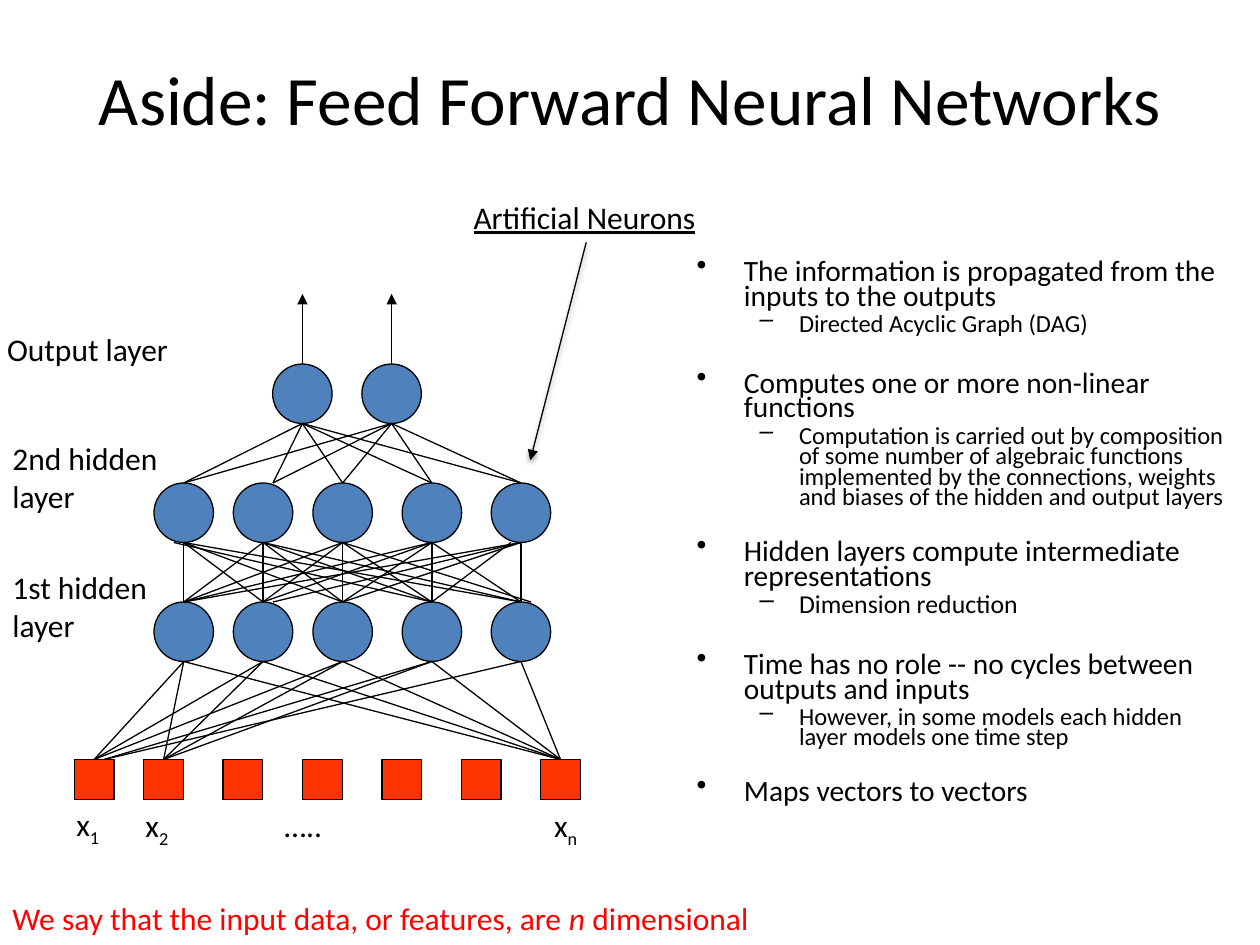
from dataclasses import dataclass
from lxml import etree
from pptx import Presentation
from pptx.dml.color import RGBColor
from pptx.enum.shapes import MSO_CONNECTOR, MSO_SHAPE
from pptx.enum.text import MSO_ANCHOR, MSO_AUTO_SIZE, PP_ALIGN
from pptx.oxml.ns import qn
from pptx.util import Pt

STRAIGHT = MSO_CONNECTOR.STRAIGHT
OVAL, RECTANGLE = MSO_SHAPE.OVAL, MSO_SHAPE.RECTANGLE
MIDDLE, CENTER = MSO_ANCHOR.MIDDLE, PP_ALIGN.CENTER
NO_FIT, FIT_SHAPE = MSO_AUTO_SIZE.NONE, MSO_AUTO_SIZE.SHAPE_TO_FIT_TEXT


@dataclass(frozen=True)
class Theme:
    font: str = "Calibri"
    ink: RGBColor = RGBColor(0, 0, 0)
    accent: RGBColor = RGBColor(0xFF, 0, 0)
    neuron: RGBColor = RGBColor(0x4F, 0x81, 0xBD)
    feature: RGBColor = RGBColor(0xFF, 0x33, 0)
    title: float = 39.6
    label: float = 18
    point: float = 16.8
    detail: float = 14
    detail_large: float = 14.7
    line: float = 0.75


THEME = Theme()
TITLE = "Aside: Feed Forward Neural Networks"

# level, size, space before, text
POINTS = [
    (0, THEME.point, 0, "The information is propagated from the inputs to the outputs"),
    (1, THEME.detail, 2.8, "Directed Acyclic Graph (DAG)"),
    (0, THEME.point, 21, "Computes one or more non-linear functions"),
    (1, THEME.detail, 2.8, "Computation is carried out by composition of some number of "
     "algebraic functions implemented by the connections, weights and biases of the "
     "hidden and output layers"),
    (0, THEME.point, 18.2, "Hidden layers compute intermediate representations"),
    (1, THEME.detail_large, 2.8, "Dimension reduction"),
    (0, THEME.point, 21, "Time has no role -- no cycles between outputs and inputs"),
    (1, THEME.detail, 2.8, "However, in some models each hidden layer models one time step"),
    (0, THEME.point, 18.2, "Maps vectors to vectors"),
]
BULLETS = [("•", 27, -27), ("–", 58.5, -22.5)]

LABELS = [
    ((36.5, 456.5, 29, 29), False, [[("x", ""), ("1", "sub")]]),
    ((76, 457, 29, 29), False, [[("x", ""), ("2", "sub")]]),
    ((309.5, 457, 29, 29), False, [[("x", ""), ("n", "sub")]]),
    ((155.5, 457, 141, 29), True, [[("…..", "")]]),
    ((0, 321, 122, 50.5), True, [[("1st hidden", "")], [("layer", "")]]),
    ((0, 247.5, 122, 50.5), True, [[("2nd hidden", "")], [("layer", "")]]),
    ((-3, 185, 122, 29), True, [[("Output layer", "")]]),
]
FOOTNOTE = [[("We say that the input data, or features, are ", ""),
             ("n ", "italic"), ("dimensional", "")]]
CALLOUT = [[("Artificial Neurons", "underline")]]

HIDDEN_CENTERS = [105, 150.3, 195.8, 246.8, 297.7]
INPUT_CENTERS = [53.8] + [93.5 + 45.36 * step for step in range(6)]
# centers, top, size, preset, fill
LAYERS = {
    "first": (HIDDEN_CENTERS, 344, 34, OVAL, THEME.neuron),
    "second": (HIDDEN_CENTERS, 276, 34, OVAL, THEME.neuron),
    "input": (INPUT_CENTERS, 434, 22.7, RECTANGLE, THEME.feature),
    "output": ([172.8, 223.8], 208, 34, OVAL, THEME.neuron),
}
LINKS = [
    ("second", "output", {lower: range(2) for lower in range(5)}),
    ("first", "second", {lower: range(5) for lower in range(5)}),
    ("input", "first", {0: range(5), 1: range(4), 6: range(5)}),
]
NUDGE = 5.7
NUDGES = {
    ("second", 1, 0): (NUDGE, 0), ("second", 1, 1): (NUDGE, 0),
    ("first", 1, 4): (NUDGE, 0), ("first", 4, 2): (NUDGE, 0),
    ("first", 3, 0): (0, -NUDGE), ("first", 3, 4): (0, -NUDGE),
    ("input", 0, 3): (NUDGE, 0), ("input", 0, 4): (NUDGE, 0),
}


def add_run(paragraph, text, size, color=THEME.ink, style=""):
    run = paragraph.add_run()
    run.text = text
    font = run.font
    font.name, font.size, font.color.rgb = THEME.font, Pt(size), color
    if style == "sub":
        run._r.get_or_add_rPr().set("baseline", "-25000")
    elif style == "italic":
        font.italic = True
    elif style == "underline":
        font.underline = True


def add_label(shapes, box, wrap, lines, color=THEME.ink):
    frame = shapes.add_textbox(*map(Pt, box)).text_frame
    frame.word_wrap, frame.auto_size = wrap, FIT_SHAPE
    for index, runs in enumerate(lines):
        paragraph = frame.add_paragraph() if index else frame.paragraphs[0]
        for text, style in runs:
            add_run(paragraph, text, THEME.label, color, style)


def add_line(shapes, start, end, arrow=False, shadow=False):
    connector = shapes.add_connector(STRAIGHT, *map(Pt, (*start, *end)))
    connector.line.color.rgb = THEME.ink
    connector.line.width = Pt(THEME.line)
    if arrow:
        etree.SubElement(connector.line._get_or_add_ln(), qn("a:tailEnd"), type="triangle")
    effects = etree.SubElement(connector._element.spPr, qn("a:effectLst"))
    if shadow:
        outer = etree.SubElement(effects, qn("a:outerShdw"), blurRad=str(Pt(3.1)),
                                 dist=str(Pt(1.6)), dir="5400000", rotWithShape="0")
        color = etree.SubElement(outer, qn("a:srgbClr"), val=str(THEME.ink))
        etree.SubElement(color, qn("a:alpha"), val="38000")


def add_title(slide):
    title = slide.shapes.title
    title.left, title.top, title.width, title.height = map(Pt, (36, 10.8, 648, 90))
    frame = title.text_frame
    frame.auto_size, frame.vertical_anchor = NO_FIT, MIDDLE
    paragraph = frame.paragraphs[0]
    paragraph.alignment = CENTER
    add_run(paragraph, TITLE, THEME.title)


def add_points(slide):
    frame = slide.shapes.add_textbox(*map(Pt, (391, 146, 318, 365))).text_frame
    frame.word_wrap = True
    for index, (level, size, before, text) in enumerate(POINTS):
        paragraph = frame.add_paragraph() if index else frame.paragraphs[0]
        bullet, margin, indent = BULLETS[level]
        paragraph.level, paragraph.line_spacing = level, 0.7
        paragraph.space_before = Pt(before)
        properties = paragraph._p.get_or_add_pPr()
        properties.set("marL", str(Pt(margin)))
        properties.set("indent", str(Pt(indent)))
        etree.SubElement(properties, qn("a:buChar"), char=bullet)
        add_run(paragraph, text, size)


def add_network(shapes):
    for centers, top, size, preset, fill in LAYERS.values():
        for center in centers:
            node = shapes.add_shape(preset, *map(Pt, (center - size / 2, top, size, size)))
            node.shadow.inherit = False
            node.fill.solid()
            node.fill.fore_color.rgb = fill
            node.line.color.rgb = THEME.ink
            node.line.width = Pt(THEME.line)
    for lower_name, upper_name, pairs in LINKS:
        lower_centers, lower_top = LAYERS[lower_name][:2]
        upper_centers, upper_top, upper_size = LAYERS[upper_name][:3]
        for lower, uppers in pairs.items():
            for upper in uppers:
                shift_low, shift_up = NUDGES.get((lower_name, lower, upper), (0, 0))
                add_line(shapes, (lower_centers[lower] + shift_low, lower_top),
                         (upper_centers[upper] + shift_up, upper_top + upper_size))
    centers, top = LAYERS["output"][:2]
    for center in centers:
        add_line(shapes, (center, top), (center, top - 40), arrow=True)


def main():
    presentation = Presentation()
    presentation.slide_width, presentation.slide_height = Pt(720), Pt(540)
    slide = presentation.slides.add_slide(presentation.slide_layouts[5])
    add_title(slide)
    add_points(slide)
    add_network(slide.shapes)
    for box, wrap, lines in LABELS:
        add_label(slide.shapes, box, wrap, lines)
    add_label(slide.shapes, (0, 510, 461, 29), False, FOOTNOTE, THEME.accent)
    callout = slide.shapes.add_group_shape().shapes
    add_label(callout, (263.5, 109.5, 142.5, 29), False, CALLOUT)
    add_line(callout, (335, 138.5), (303, 263), arrow=True, shadow=True)
    presentation.save("out.pptx")


if __name__ == "__main__":
    main()
